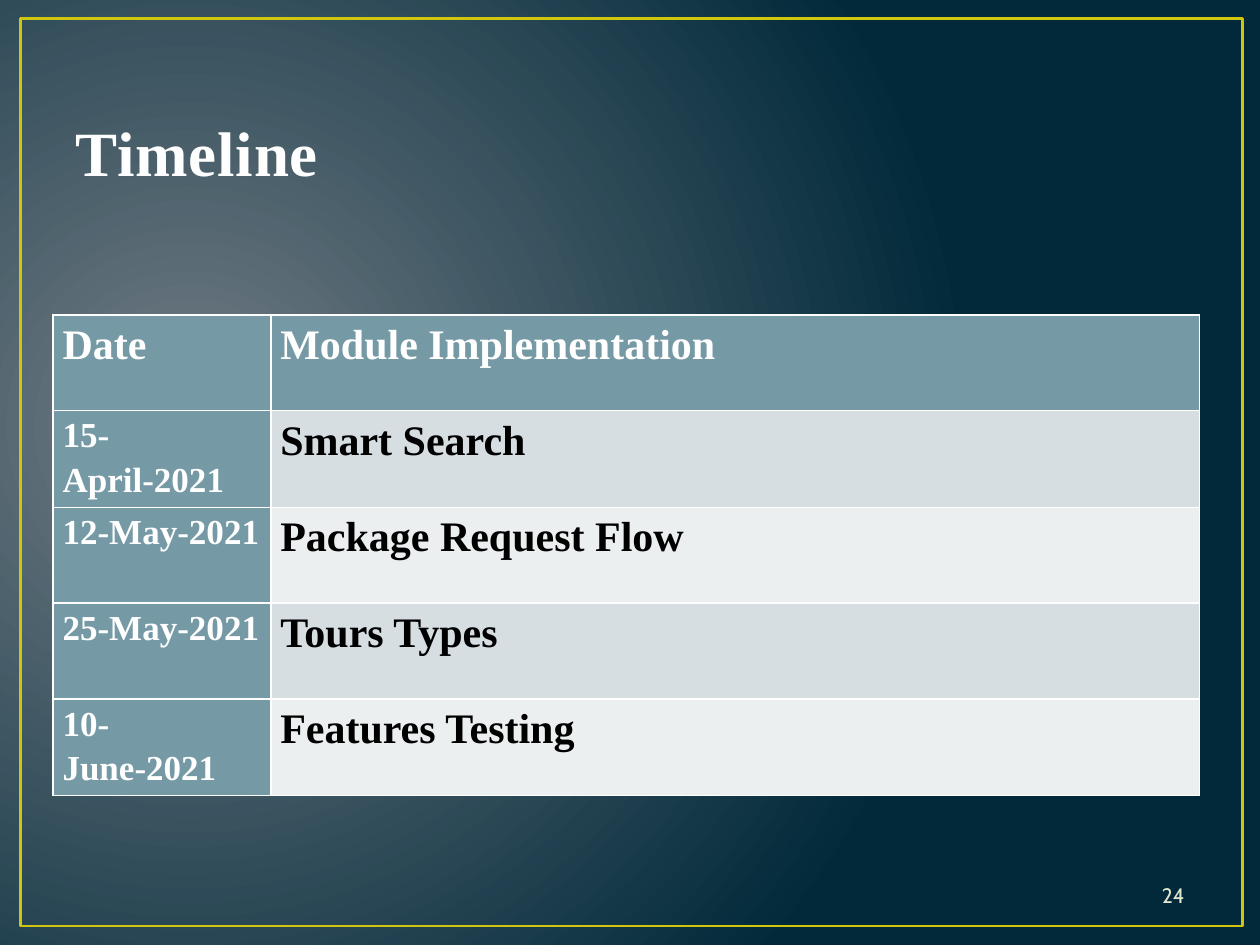
from dataclasses import dataclass

from lxml import etree
from pptx import Presentation
from pptx import util as u
from pptx.dml.color import RGBColor
from pptx.enum import shapes, text
from pptx.oxml import parse_xml
from pptx.oxml.ns import nsdecls, qn


@dataclass(frozen=True)
class Theme:
    glow: str = "717C84"
    deep: str = "01293A"
    gold: str = "CFC60D"
    teal: str = "759AA5"
    bands: tuple[str, str] = ("D6DEE1", "ECEFF0")
    white: str = "FFFFFF"
    black: str = "000000"
    title: str = "FEFEFE"
    pale: str = "DFE6D0"
    serif: str = "Times New Roman"
    sans: str = "Cabin"
    big: int = 36
    head: int = 24
    date: int = 20
    small: int = 12


@dataclass(frozen=True)
class Box:
    x: float
    y: float
    w: float
    h: float

    def cm(self) -> tuple[u.Cm, ...]:
        return tuple(u.Cm(v) for v in (self.x, self.y, self.w, self.h))


@dataclass(frozen=True)
class Step:
    date: str
    task: str


T = Theme()
STEPS = [
    Step("Date", "Module Implementation"),
    Step("15-April-2021", "Smart Search"),
    Step("12-May-2021", "Package Request Flow"),
    Step("25-May-2021", "Tours Types"),
    Step("10-June-2021", "Features Testing"),
]
COLS = (4.39, 18.72)
ROW = 1.93


def add_run(para, words: str, size: int, color: str, face: str = T.serif, bold: bool = True):
    run = para.add_run()
    run.text = words
    font = run.font
    font.size, font.name, font.bold = u.Pt(size), face, bold
    font.color.rgb = RGBColor.from_string(color)
    return run


def paint_back(slide) -> None:
    slide.background.fill.solid()
    props = slide.background.fill._xPr
    old = props.find(qn("a:solidFill"))
    grad = parse_xml(
        f'<a:gradFill {nsdecls("a")} rotWithShape="1"><a:gsLst>'
        f'<a:gs pos="0"><a:srgbClr val="{T.glow}"/></a:gs>'
        f'<a:gs pos="100000"><a:srgbClr val="{T.deep}"/></a:gs></a:gsLst>'
        '<a:path path="circle"><a:fillToRect l="15000" t="50000" r="85000" b="60000"/></a:path>'
        "</a:gradFill>"
    )
    props.replace(old, grad)


def add_frame(slide, box: Box) -> None:
    frame = slide.shapes.add_shape(shapes.MSO_SHAPE.RECTANGLE, *box.cm())
    frame.shadow.inherit = False
    frame.fill.background()
    frame.line.color.rgb = RGBColor.from_string(T.gold)
    frame.line.width = u.Pt(1.5)


def add_label(slide, box: Box, anchor: text.MSO_ANCHOR, align: text.PP_ALIGN):
    frame = slide.shapes.add_textbox(*box.cm()).text_frame
    frame.word_wrap = True
    frame.vertical_anchor = anchor
    para = frame.paragraphs[0]
    para.alignment = align
    return para


def edge_cell(cell) -> None:
    props = cell._tc.get_or_add_tcPr()
    for spot, side in enumerate(("lnL", "lnR", "lnT", "lnB")):
        line = etree.Element(qn(f"a:{side}"), w=str(u.Pt(1)))
        fill = etree.SubElement(line, qn("a:solidFill"))
        etree.SubElement(fill, qn("a:srgbClr"), val=T.white)
        props.insert(spot, line)


def fill_cell(cell, words: str, size: int, color: str, back: str) -> None:
    cell.margin_left = cell.margin_right = u.Cm(0.19)
    cell.margin_top = cell.margin_bottom = 0
    cell.fill.solid()
    cell.fill.fore_color.rgb = RGBColor.from_string(back)
    edge_cell(cell)
    para = cell.text_frame.paragraphs[0]
    para.alignment = text.PP_ALIGN.JUSTIFY
    para.line_spacing = 1.15
    add_run(para, words, size, color)


def add_plan(slide, x: float, y: float) -> None:
    box = Box(x, y, sum(COLS), ROW * len(STEPS))
    table = slide.shapes.add_table(len(STEPS), len(COLS), *box.cm()).table
    table.first_col = True
    for col, width in zip(table.columns, COLS):
        col.width = u.Cm(width)
    for i, step in enumerate(STEPS):
        table.rows[i].height = u.Cm(ROW)
        top = i == 0
        fill_cell(table.cell(i, 0), step.date, T.head if top else T.date, T.white, T.teal)
        fill_cell(table.cell(i, 1), step.task, T.head, T.white if top else T.black,
                  T.teal if top else T.bands[(i - 1) % 2])


def main() -> None:
    deck = Presentation()
    deck.slide_width, deck.slide_height = u.Cm(25.4), u.Cm(19.05)
    slide = deck.slides.add_slide(deck.slide_layouts[6])
    paint_back(slide)
    add_frame(slide, Box(0.41, 0.38, 24.64, 18.29))
    title = add_label(slide, Box(1.27, 0.76, 22.86, 3.18),
                      text.MSO_ANCHOR.BOTTOM, text.PP_ALIGN.LEFT)
    run = add_run(title, "Timeline", T.big, T.title)
    run.font._element.set("spc", "50")
    page = add_label(slide, Box(18.21, 17.53, 5.92, 1.02),
                     text.MSO_ANCHOR.MIDDLE, text.PP_ALIGN.RIGHT)
    add_run(page, "24", T.small, T.pale, T.sans, False)
    add_plan(slide, 1.07, 6.35)
    deck.save("out.pptx")


if __name__ == "__main__":
    main()
